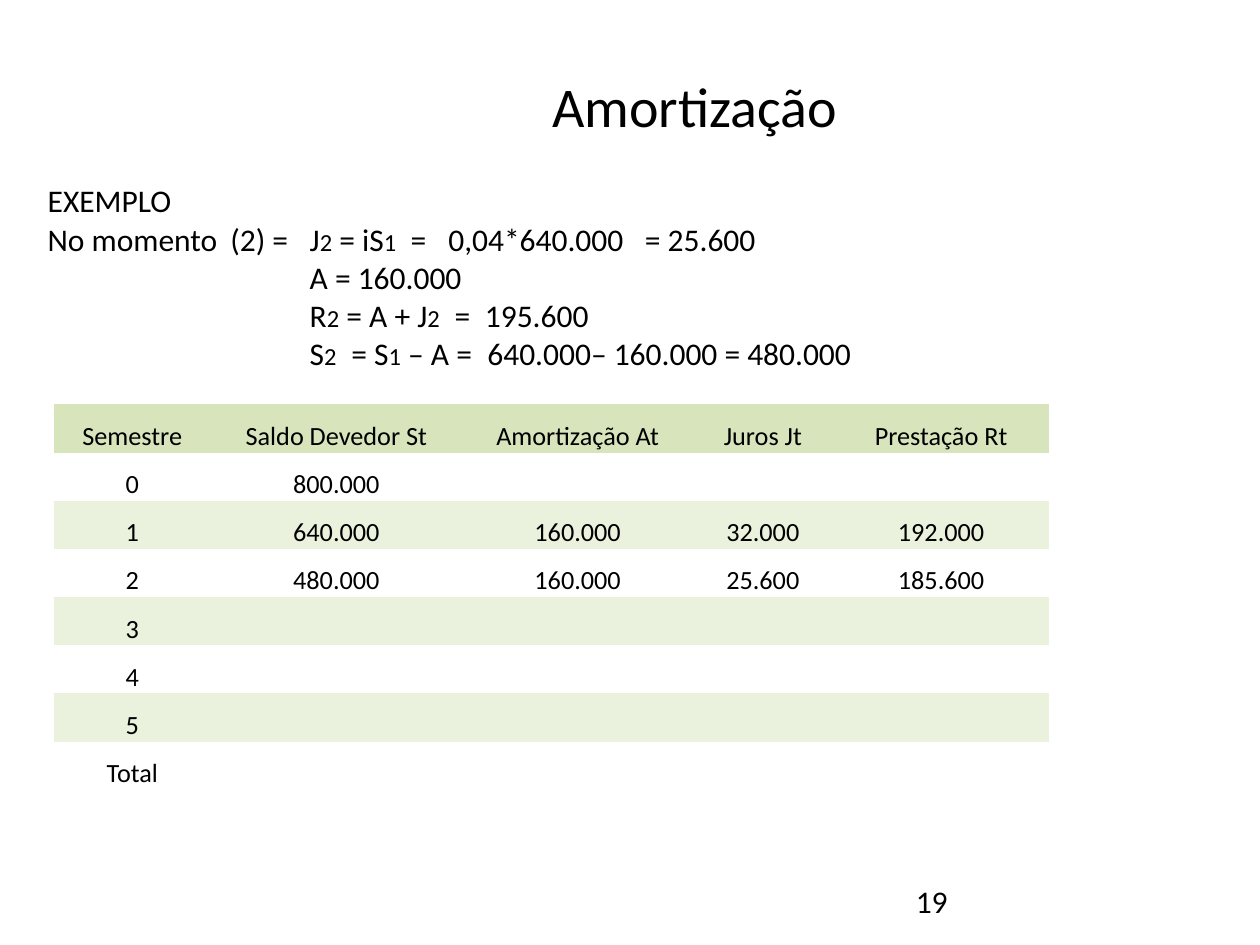
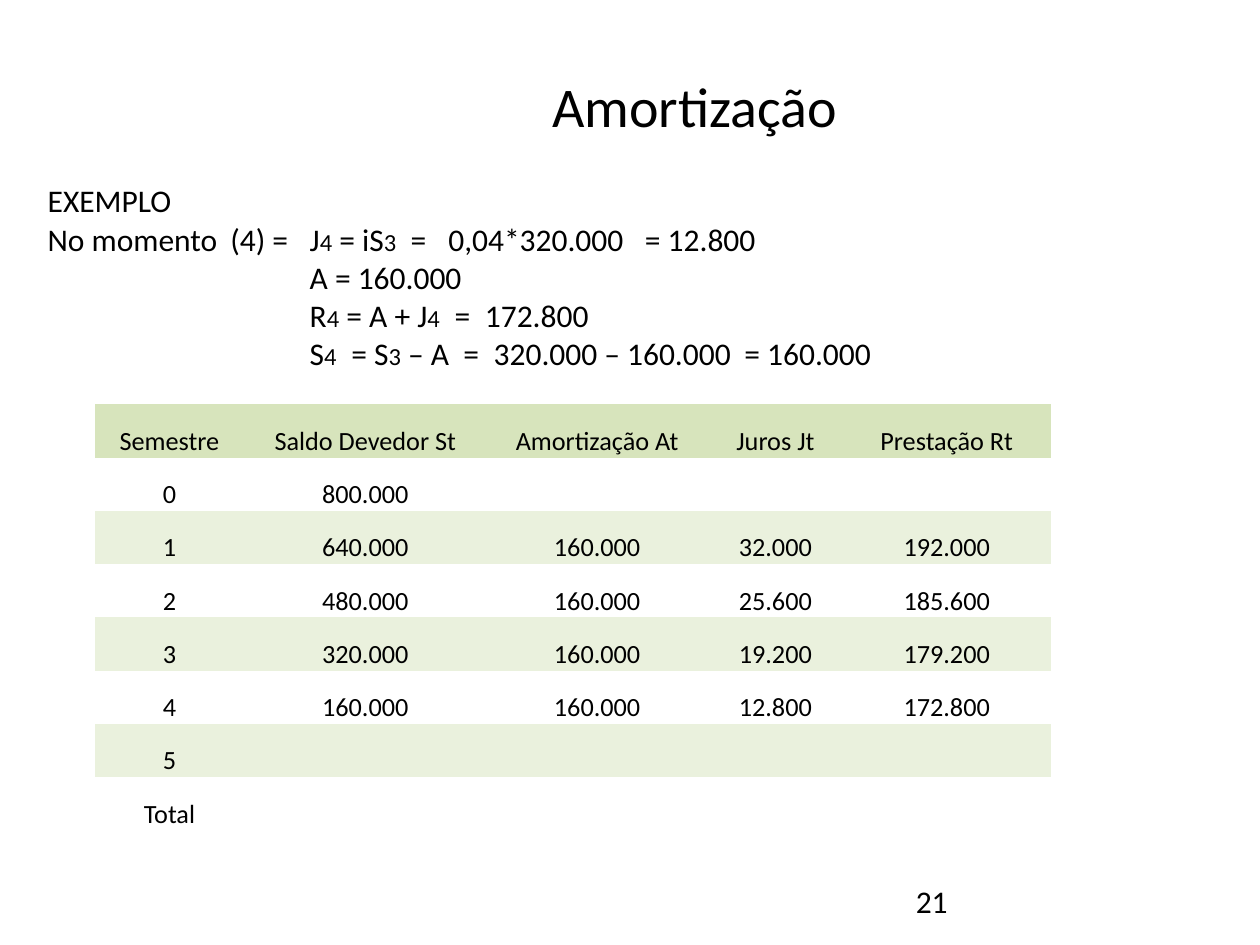
from lxml.etree import SubElement
from pptx import Presentation
from pptx.dml.color import RGBColor
from pptx.enum.text import MSO_ANCHOR as Anchor, PP_ALIGN as Align
from pptx.oxml.ns import qn
from pptx.util import Inches, Pt

COLORS = {"text": "000000", "header": "D7E4BC", "band": "EAF1DD"}
FONT = "Calibri"
NO_TABLE_STYLE = "{2D5ABB26-0587-4C30-8999-92F81FD0307C}"

HEADINGS = ["Semestre", "Saldo Devedor St", "Amortização At", "Juros Jt", "Prestação Rt"]
SEMESTERS = ["0", "1", "2", "3", "4", "5", "Total"]
SCHEDULE = [
    ["800.000"],
    ["640.000", "160.000", "32.000", "192.000"],
    ["480.000", "160.000", "25.600", "185.600"],
    ["320.000", "160.000", "19.200", "179.200"],
    ["160.000", "160.000", "12.800", "172.800"],
]

# Formula lines: |n| is a small index; tab stops (inches) align the terms.
INTEREST_STOPS = [1.45, 2.08, 2.88, 3.18, 4.74]
PAYMENT_STOPS = [2.08, 3.23, 3.47]
EXAMPLES = [
    {
        "number": "19",
        "last_period": 2,
        "formulas": [
            ("No momento\t(2) =\tJ|2| = iS|1|\t=\t0,04*640.000\t= 25.600", INTEREST_STOPS),
            ("\tA = 160.000", [2.08]),
            ("\tR|2| = A + J|2|\t=\t195.600", PAYMENT_STOPS),
            ("\tS|2|\t= S|1| – A =\t640.000– 160.000 = 480.000", [2.08, 2.41, 3.49]),
        ],
        "table_at": (0.43, 3.21, 7.9, 3.06),
        "columns": [1.24, 2, 1.83, 1.11, 1.72],
    },
    {
        "number": "21",
        "last_period": 4,
        "formulas": [
            ("No momento\t(4) =\tJ|4| = iS|3|\t=\t0,04*320.000\t= 12.800", INTEREST_STOPS),
            ("\tA = 160.000", [2.08]),
            ("\tR|4| = A + J|4|\t=\t172.800", PAYMENT_STOPS),
            ("\tS|4|\t= S|3| – A\t=\t320.000 – 160.000\t= 160.000",
             [2.08, 2.41, 3.3, 3.54, 5.53]),
        ],
        "table_at": (0.75, 3.21, 7.59, 3.38),
        "columns": [1.19, 1.92, 1.76, 1.07, 1.65],
    },
]


def style_paragraph(para, size, align=Align.LEFT):
    para.alignment = align
    para.font.name = FONT
    para.font.size = Pt(size)
    para.font.color.rgb = RGBColor.from_string(COLORS["text"])


def add_text(page, place, lines, size=18, align=Align.LEFT):
    """Add a text box from (text, tab stops) lines, with |n| set as a small index."""
    box = page.shapes.add_textbox(*map(Inches, place))
    frame = box.text_frame
    frame.word_wrap = True
    for index, (text, stops) in enumerate(lines):
        para = frame.add_paragraph() if index else frame.paragraphs[0]
        if stops:
            tab_list = SubElement(para._p.get_or_add_pPr(), qn("a:tabLst"))
            for stop in stops:
                SubElement(tab_list, qn("a:tab"), pos=str(Inches(stop)), algn="l")
        style_paragraph(para, size, align)
        for part, words in enumerate(text.split("|")):
            span = para.add_run()
            span.text = words
            if part % 2:
                span.font.size = Pt(14)


deck = Presentation()
deck.slide_width, deck.slide_height = Inches(10), Inches(7.5)

for example in EXAMPLES:
    page = deck.slides.add_slide(deck.slide_layouts[6])
    add_text(page, (7.17, 6.95, 2.33, 0.4), [(example["number"], [])])
    add_text(page, (0.91, 0.52, 9.21, 0.87), [("Amortização", [])], 32, Align.CENTER)
    add_text(page, (0.28, 1.39, 9.61, 0.4), [("EXEMPLO", [])])
    add_text(page, (0.28, 1.7, 9.61, 1.62), example["formulas"])

    rows = [HEADINGS]
    for period, semester in enumerate(SEMESTERS):
        known = SCHEDULE[period] if period <= example["last_period"] else []
        rows.append([semester] + known + [""] * (len(HEADINGS) - 1 - len(known)))

    place = map(Inches, example["table_at"])
    table = page.shapes.add_table(len(rows), len(HEADINGS), *place).table
    table._tbl.tblPr.find(qn("a:tableStyleId")).text = NO_TABLE_STYLE
    table.first_row = table.horz_banding = False
    for column, width in zip(table.columns, example["columns"]):
        column.width = Inches(width)

    for row_index, values in enumerate(rows):
        for column_index, value in enumerate(values):
            cell = table.cell(row_index, column_index)
            cell.text = value
            cell.vertical_anchor = Anchor.BOTTOM
            cell.margin_left = cell.margin_top = cell.margin_right = Inches(0.01)
            cell.margin_bottom = 0
            style_paragraph(cell.text_frame.paragraphs[0], 15, Align.CENTER)
            if row_index % 2:
                cell.fill.background()
            else:
                cell.fill.solid()
                shade = COLORS["band" if row_index else "header"]
                cell.fill.fore_color.rgb = RGBColor.from_string(shade)

deck.save("out.pptx")
